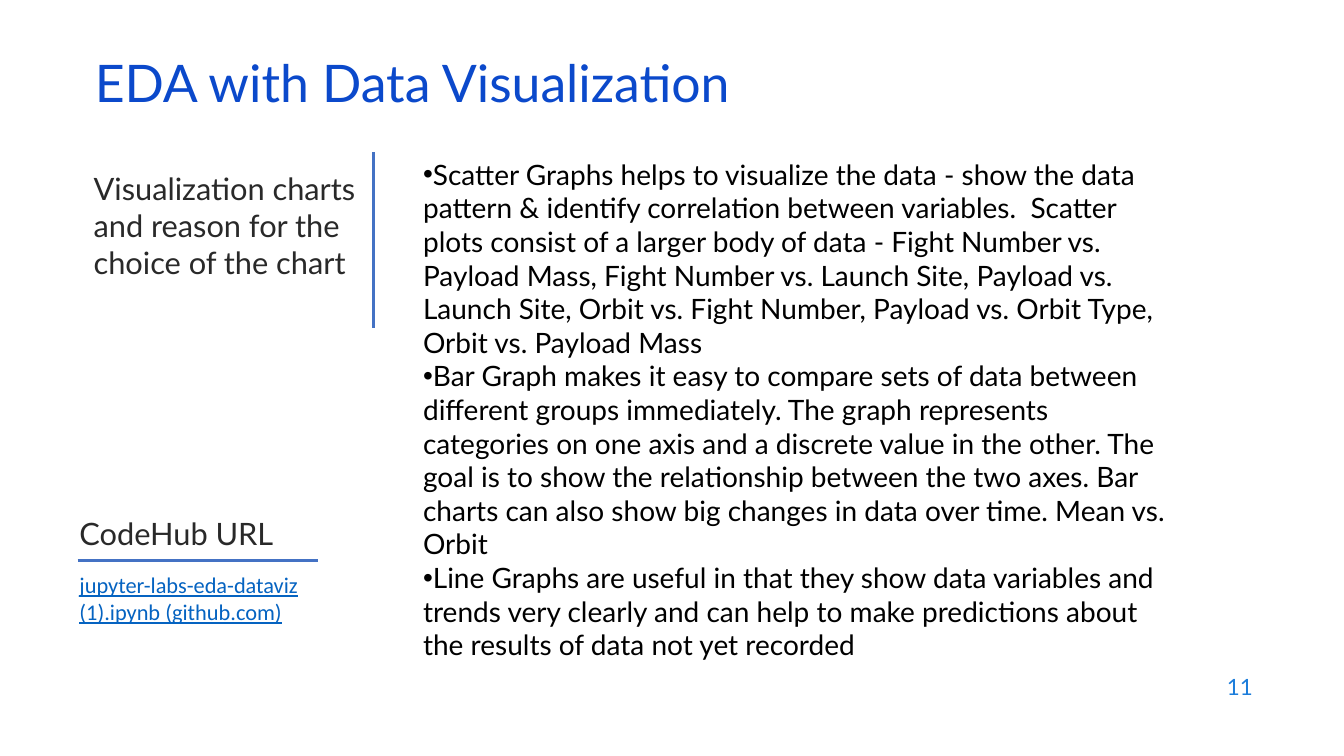
from lxml import etree
from pptx import Presentation
from pptx.dml.color import RGBColor
from pptx.enum import shapes, text
from pptx.oxml.ns import qn
from pptx.util import Pt

TITLE = "EDA with Data Visualization"
CHART_REASONS = [
    "Scatter Graphs helps to visualize the data - show the data pattern & identify "
    "correlation between variables.  Scatter plots consist of a larger body of data - "
    "Fight Number vs. Payload Mass, Fight Number vs. Launch Site, Payload vs. Launch Site, "
    "Orbit vs. Fight Number, Payload vs. Orbit Type, Orbit vs. Payload Mass",
    "Bar Graph makes it easy to compare sets of data between different groups immediately. "
    "The graph represents categories on one axis and a discrete value in the other. The goal "
    "is to show the relationship between the two axes. Bar charts can also show big changes "
    "in data over time. Mean vs. Orbit",
    "Line Graphs are useful in that they show data variables and trends very clearly and can "
    "help to make predictions about the results of data not yet recorded",
]
SIDE_HEADING = "Visualization charts and reason for the choice of the chart"
LINK_HEADING = "CodeHub URL"
LINK_TEXT = "jupyter-labs-eda-dataviz (1).ipynb (github.com)"
PAGE_NUMBER = "11"

# left, top, width, height in points
TITLE_BOX = (60.5, 42.5, 828, 43)
BODY_BOX = (295, 108.7, 550, 343)
SIDE_BOX = (59.8, 118, 207.4, 116)
LINK_BOX = (49.7, 364.3, 216.7, 116)
PAGE_BOX = (686, 474.5, 216, 32)
# x and y of both ends in points
RULES = [(266.6, 108.7, 266.6, 234), (55.4, 400.3, 226.8, 400.3)]

BLUE, DARK, BLACK = "0B49CB", "292929", "000000"
LINK_BLUE, PAGE_BLUE, RULE_BLUE = "0563C1", "1C7DDB", "4472C4"


def color(value):
    return RGBColor.from_string(value)


def place(shape, box):
    shape.left, shape.top, shape.width, shape.height = map(Pt, box)


def write(shape, lines, anchor=text.MSO_ANCHOR.TOP):
    """Fill a shape with (string, size, colour, font) lines and return its paragraphs."""
    frame = shape.text_frame
    frame.word_wrap = True
    frame.auto_size = text.MSO_AUTO_SIZE.NONE
    frame.vertical_anchor = anchor
    frame.text = "\n".join(line[0] for line in lines)
    for paragraph, (_, size, tint, font) in zip(frame.paragraphs, lines):
        paragraph.alignment = text.PP_ALIGN.LEFT
        paragraph.space_before = Pt(0)
        paragraph.font.name = font
        paragraph.font.size = Pt(size)
        paragraph.font.color.rgb = color(tint)
    return frame.paragraphs


def add_text(slide, box, lines, anchor=text.MSO_ANCHOR.TOP):
    return write(slide.shapes.add_textbox(*map(Pt, box)), lines, anchor)


def set_bullet(paragraph):
    """Start the paragraph with a dot that touches its first word."""
    properties = paragraph._p.get_or_add_pPr()
    properties.set("marL", "0")
    properties.set("indent", "0")
    bullet = etree.Element(qn("a:buChar"), char="•")
    properties.find(qn("a:defRPr")).addprevious(bullet)


def add_rule(slide, ends):
    rule = slide.shapes.add_connector(shapes.MSO_CONNECTOR.STRAIGHT, *map(Pt, ends))
    rule.line.color.rgb = color(RULE_BLUE)
    rule.line.width = Pt(2.25)
    etree.SubElement(rule._element.spPr, qn("a:effectLst"))


def main():
    presentation = Presentation()
    presentation.slide_width, presentation.slide_height = Pt(960), Pt(540)
    slide = presentation.slides.add_slide(presentation.slide_layouts[1])
    middle = text.MSO_ANCHOR.MIDDLE

    title, body = slide.shapes.title, slide.placeholders[1]
    place(title, TITLE_BOX)
    write(title, [(TITLE, 37, BLUE, "Lato")], middle)[0].line_spacing = 0.7

    place(body, BODY_BOX)
    for paragraph in write(body, [(reason, 20, BLACK, "Lato") for reason in CHART_REASONS]):
        set_bullet(paragraph)

    add_text(slide, SIDE_BOX, [(SIDE_HEADING, 22, DARK, "Lato")])
    link = add_text(slide, LINK_BOX, [(LINK_HEADING, 22, DARK, "Lato"),
                                      (LINK_TEXT, 16, LINK_BLUE, "Calibri")])[1]
    link.space_before = Pt(14)
    link.font.underline = True
    page = add_text(slide, PAGE_BOX, [(PAGE_NUMBER, 16, PAGE_BLUE, "Lato")], middle)[0]
    page.alignment = text.PP_ALIGN.RIGHT

    for ends in RULES:
        add_rule(slide, ends)
    presentation.save("out.pptx")


if __name__ == "__main__":
    main()
